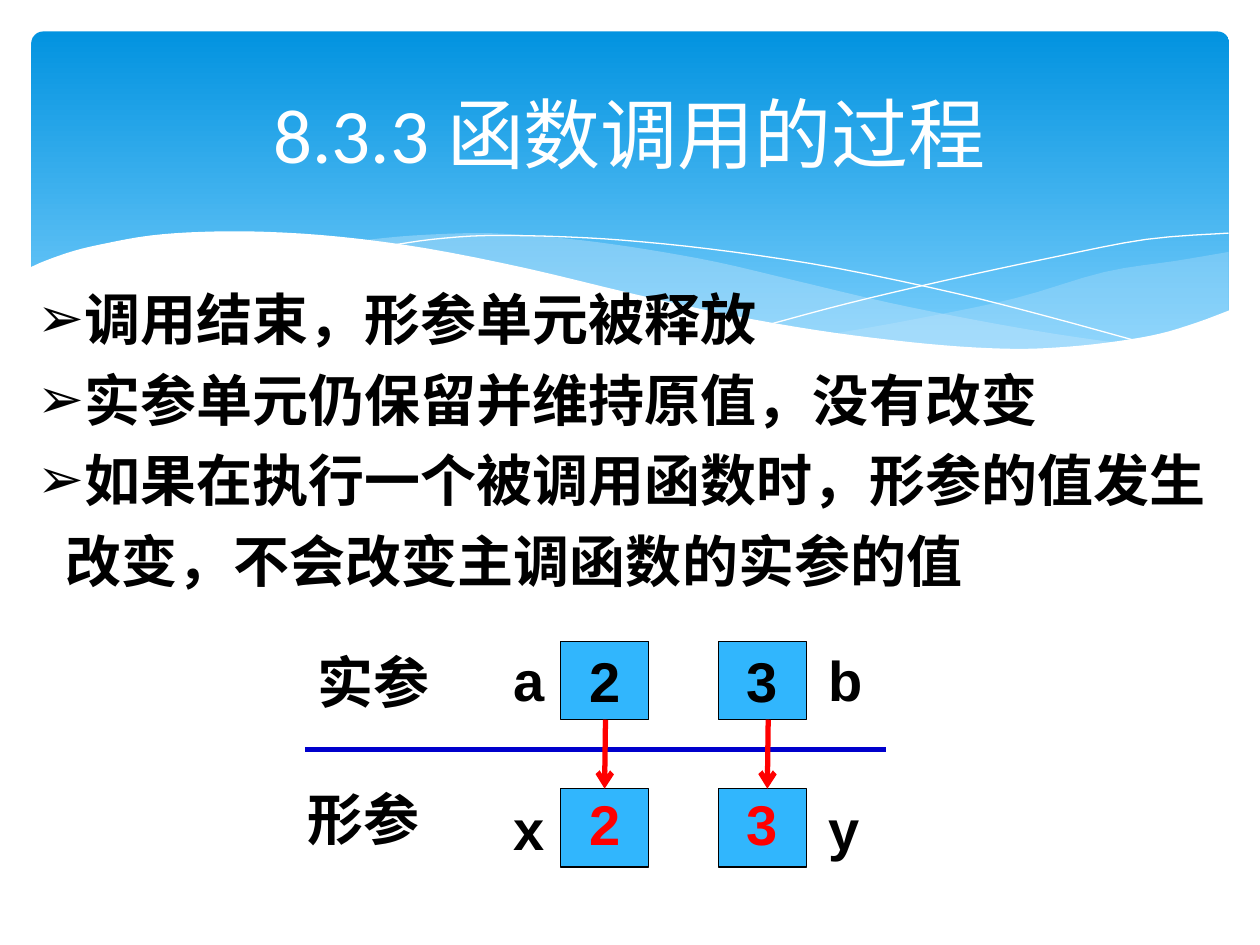
from dataclasses import dataclass

from lxml.etree import SubElement
from pptx import Presentation
from pptx.dml.color import RGBColor
from pptx.enum.shapes import MSO_CONNECTOR, MSO_SHAPE
from pptx.enum.text import MSO_ANCHOR, MSO_AUTO_SIZE, PP_ALIGN
from pptx.oxml.ns import qn
from pptx.util import Pt

BLACK, WHITE, RED, BLUE = "000000", "FFFFFF", "FF0000", "0000CC"
BOX_BLUE, PALE_BLUE = "31B6FD", "C6E7FC"
Points = list[tuple[float, float]]


@dataclass
class Wave:
    """Filled area bounded by one or more smooth edges."""
    edges: list[Points]
    fill: str
    opacity: int = 100


@dataclass
class Label:
    text: str
    left: float
    top: float
    width: float = 39.6


@dataclass
class Arrow:
    start: tuple[float, float]
    end: tuple[float, float]
    color: str
    head: bool = False


@dataclass
class Variable:
    """One column: an argument above the parameter that receives its value."""
    value: str
    left: float
    argument: str
    parameter: str
    name_left: float
    arrow_x: float


RIGHT_WAVE = Wave([
    [(702, 144), (672.5, 149), (631, 155.5), (579.6, 170.6), (525, 182), (476, 190.8)],
    [(476, 190.8), (507.6, 195), (545, 198.7), (578, 200), (615, 198.7), (646, 194.4),
     (673, 188.6), (702, 178)],
], PALE_BLUE, 29)
MIDDLE_WAVE = Wave([
    [(643, 196.6), (602.6, 190.8), (558, 183), (508, 173), (453, 160), (409.7, 149.8),
     (370, 142.6), (334, 137.5), (302.4, 134.6), (273.6, 133.2), (236, 134.6), (206, 137.5)],
    [(206, 137.5), (246, 143.3), (291, 152), (353.5, 167), (407.5, 178.6), (456.5, 188),
     (500.4, 194.4), (538.6, 198.7), (581, 200.9), (617, 199.4), (643, 196.6)],
], PALE_BLUE, 40)
WHITE_WAVE = Wave([
    [(17, 153), (26, 149), (42.5, 143.3), (61, 139), (86, 134.6), (116, 132.5),
     (152, 132.5), (195, 135.4), (244, 142), (301, 153.4), (362, 168), (417, 180),
     (466, 188.6), (510, 194.4), (548, 198), (582.5, 199.4), (612, 198), (638.6, 195),
     (662.4, 190.8), (684, 184.3), (703.4, 177)],
    [(703.4, 237), (17, 237)],
], WHITE)
HAIRLINES = [
    [(222.5, 140.4), (247, 136.8), (278.6, 134.6), (324, 135.4), (367, 138.2),
     (419, 144), (479, 153.4), (547, 167.8), (598, 180.7), (653, 195.8)],
    [(441, 185), (484, 173.5), (538.6, 160.6), (602, 147), (655, 136.8), (702, 133.2)],
]

BULLETS = [
    "调用结束，形参单元被释放",
    "实参单元仍保留并维持原值，没有改变",
    "如果在执行一个被调用函数时，形参的值发生改变，不会改变主调函数的实参的值",
]
VARIABLES = [
    Variable("2", 320.4, "a", "x", 286.5, 346),
    Variable("3", 410.4, "b", "y", 466.5, 439),
]
ARGUMENT_TOP, PARAMETER_TOP = 366.5, 450.7
BOX_WIDTH, BOX_HEIGHT, VALUE_SIZE = 50.4, 44.8, 39.6


def rgb(color: str) -> RGBColor:
    return RGBColor.from_string(color)


def place(shape, left: float, top: float, width: float, height: float) -> None:
    shape.left, shape.top, shape.width, shape.height = map(Pt, (left, top, width, height))


def bring_to_front(shape) -> None:
    shape.element.getparent().append(shape.element)


def add_run(paragraph, text: str, size: float, font: str, color: str, bold: bool = True) -> None:
    run = paragraph.add_run()
    run.text = text
    run.font.size, run.font.name, run.font.bold = Pt(size), font, bold
    run.font.color.rgb = rgb(color)


def smooth(points: Points, steps: int = 4) -> Points:
    """Catmull-Rom curve through the points."""
    padded = [points[0], *points, points[-1]]
    curve = [points[0]]
    for a, b, c, d in zip(padded, padded[1:], padded[2:], padded[3:]):
        for step in range(1, steps + 1):
            t = step / steps
            curve.append(tuple(
                0.5 * (2 * q + (r - p) * t + (2 * p - 5 * q + 4 * r - s) * t ** 2
                       + (3 * q - p - 3 * r + s) * t ** 3)
                for p, q, r, s in zip(a, b, c, d)))
    return curve


def add_outline(slide, points: Points, closed: bool):
    scaled = [(Pt(x), Pt(y)) for x, y in points]
    builder = slide.shapes.build_freeform(*scaled[0])
    builder.add_line_segments(scaled[1:], close=closed)
    shape = builder.convert_to_shape()
    shape.shadow.inherit = False
    return shape


def add_wave(slide, wave: Wave) -> None:
    shape = add_outline(slide, [p for edge in wave.edges for p in smooth(edge)], True)
    shape.fill.solid()
    shape.fill.fore_color.rgb = rgb(wave.fill)
    shape.line.fill.background()
    if wave.opacity < 100:
        color = shape.element.spPr.find(f"{qn('a:solidFill')}/{qn('a:srgbClr')}")
        SubElement(color, qn("a:alpha"), val=str(wave.opacity * 1000))


def add_hairline(slide, points: Points) -> None:
    shape = add_outline(slide, smooth(points), False)
    shape.fill.background()
    shape.line.color.rgb = rgb(WHITE)
    shape.line.width = Pt(0)


def add_backdrop(slide) -> None:
    panel = slide.shapes.add_shape(MSO_SHAPE.ROUNDED_RECTANGLE, Pt(18), Pt(18), Pt(684.5), Pt(194.4))
    panel.adjustments[0] = 0.034
    panel.shadow.inherit = False
    panel.line.fill.background()
    panel.fill.gradient()
    panel.fill.gradient_angle = 270
    for stop, position, color in zip(panel.fill.gradient_stops, (0, 1), ("0293E0", "83D3FE")):
        stop.position, stop.color.rgb = position, rgb(color)
    add_wave(slide, RIGHT_WAVE)
    add_wave(slide, MIDDLE_WAVE)
    for points in HAIRLINES:
        add_hairline(slide, points)
    add_wave(slide, WHITE_WAVE)


def add_box(slide, left: float, top: float, width: float, height: float,
            text: str = "", color: str = BLACK, filled: bool = True) -> None:
    box = slide.shapes.add_shape(MSO_SHAPE.FLOWCHART_PROCESS, Pt(left), Pt(top), Pt(width), Pt(height))
    box.shadow.inherit = False
    if filled:
        box.fill.solid()
        box.fill.fore_color.rgb = rgb(BOX_BLUE)
        box.line.color.rgb, box.line.width = rgb(BLACK), Pt(0.75)
    else:
        box.fill.background()
        box.line.fill.background()
    if text:
        box.text_frame.word_wrap = False
        paragraph = box.text_frame.paragraphs[0]
        paragraph.alignment = PP_ALIGN.CENTER
        add_run(paragraph, text, 32, "Arial", color)


def add_label(slide, label: Label) -> None:
    frame = slide.shapes.add_textbox(Pt(label.left), Pt(label.top), Pt(label.width), Pt(46)).text_frame
    frame.word_wrap, frame.auto_size = True, MSO_AUTO_SIZE.SHAPE_TO_FIT_TEXT
    add_run(frame.paragraphs[0], label.text, 32, "Arial", BLACK)


def add_line(slide, arrow: Arrow) -> None:
    line = slide.shapes.add_connector(MSO_CONNECTOR.STRAIGHT, *map(Pt, arrow.start + arrow.end))
    line.line.color.rgb, line.line.width = rgb(arrow.color), Pt(3)
    if arrow.head:
        SubElement(line.element.spPr.find(qn("a:ln")), qn("a:tailEnd"), type="arrow")
    SubElement(line.element.spPr, qn("a:effectLst"))


def fill_body(body) -> None:
    place(body, 14.4, 151.2, 692, 164)
    frame = body.text_frame
    frame.word_wrap, frame.auto_size = True, MSO_AUTO_SIZE.NONE
    frame.vertical_anchor = MSO_ANCHOR.TOP
    for index, text in enumerate(BULLETS):
        paragraph = frame.add_paragraph() if index else frame.paragraphs[0]
        properties = paragraph._p.get_or_add_pPr()
        properties.set("marL", str(Pt(16)))
        properties.set("indent", str(-Pt(16)))
        SubElement(SubElement(properties, qn("a:buClr")), qn("a:srgbClr"), val=BLACK)
        SubElement(properties, qn("a:buFont"), typeface="DejaVu Sans")
        SubElement(properties, qn("a:buChar"), char="➢")
        paragraph.line_spacing, paragraph.space_before = 1.2, Pt(0)
        add_run(paragraph, text, 32, "DejaVu Sans", BLACK)


def fill_title(title) -> None:
    place(title, 36, 26.6, 648, 98.6)
    title.text_frame.vertical_anchor = MSO_ANCHOR.MIDDLE
    paragraph = title.text_frame.paragraphs[0]
    paragraph.alignment = PP_ALIGN.CENTER
    add_run(paragraph, "8.3.3 函数调用的过程", 44, "Calibri", WHITE, bold=False)


def main() -> None:
    presentation = Presentation()
    presentation.slide_width, presentation.slide_height = Pt(720), Pt(540)
    slide = presentation.slides.add_slide(presentation.slide_layouts[1])
    title, body = slide.shapes.title, slide.placeholders[1]

    # Backdrop, then the placeholders above it
    add_backdrop(slide)
    fill_body(body)
    fill_title(title)
    bring_to_front(body)
    bring_to_front(title)

    # Arguments above, parameters below
    for item in VARIABLES:
        add_box(slide, item.left, ARGUMENT_TOP, BOX_WIDTH, BOX_HEIGHT, item.value)
        add_box(slide, item.left, PARAMETER_TOP, BOX_WIDTH, BOX_HEIGHT)
        add_box(slide, item.left + (BOX_WIDTH - VALUE_SIZE) / 2, PARAMETER_TOP,
                VALUE_SIZE, VALUE_SIZE, item.value, RED, filled=False)
        add_label(slide, Label(item.argument, item.name_left, ARGUMENT_TOP - 1))
        add_label(slide, Label(item.parameter, item.name_left, PARAMETER_TOP - 0.5))

    # Divider, row names and value arrows
    add_line(slide, Arrow((174.2, 428.4), (506.2, 428.4), BLUE))
    add_label(slide, Label("实参", 174.2, ARGUMENT_TOP, 90))
    add_label(slide, Label("形参", 168.5, 445, 90))
    for item in VARIABLES:
        add_line(slide, Arrow((item.arrow_x, ARGUMENT_TOP + BOX_HEIGHT),
                              (item.arrow_x - 0.5, PARAMETER_TOP), RED, head=True))

    presentation.save("out.pptx")


if __name__ == "__main__":
    main()
